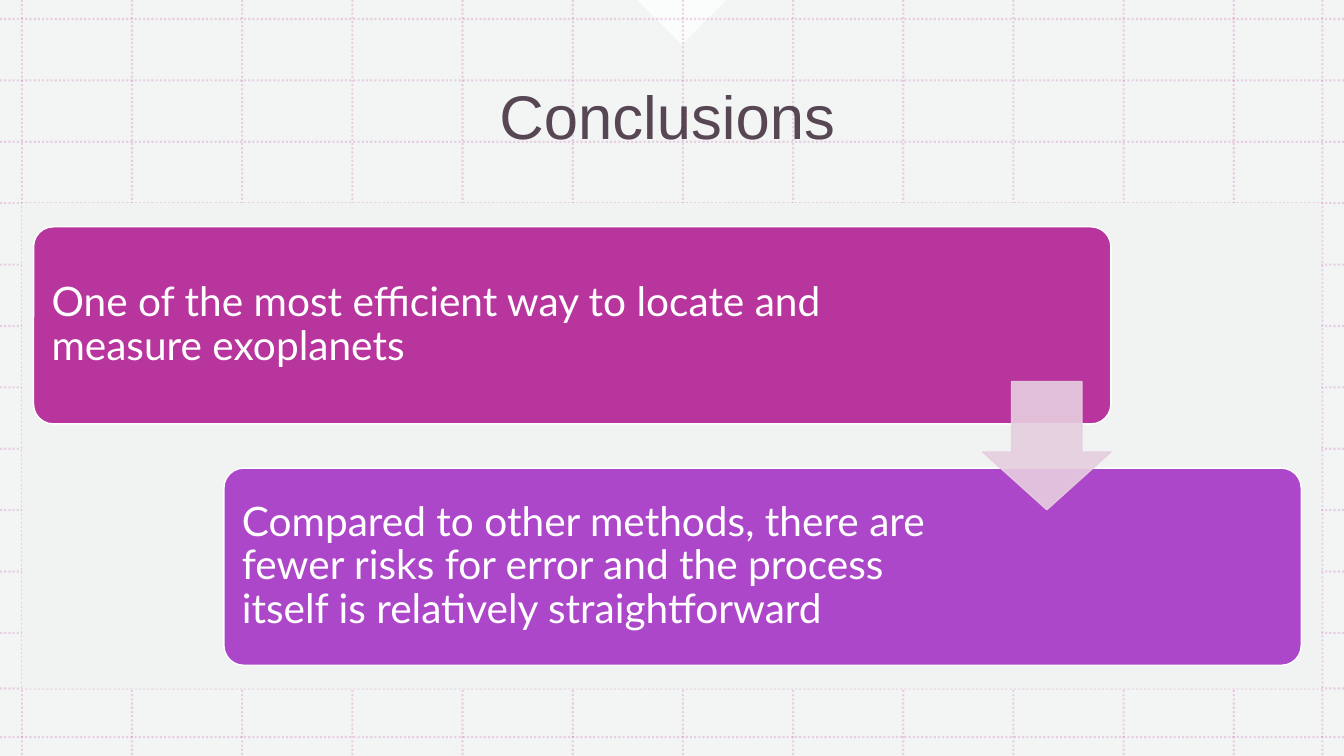
from dataclasses import dataclass

from lxml.etree import SubElement
from pptx import Presentation
from pptx.dml.color import RGBColor
from pptx.dml.fill import FillFormat
from pptx.enum.dml import MSO_LINE
from pptx.enum.shapes import MSO_CONNECTOR, MSO_SHAPE
from pptx.enum.text import MSO_ANCHOR, PP_ALIGN
from pptx.oxml.ns import qn
from pptx.shapes.autoshape import Shape
from pptx.slide import Slide
from pptx.text.text import TextFrame
from pptx.util import Pt

WIDTH, HEIGHT = 960, 540
WHITE = RGBColor(0xFF, 0xFF, 0xFF)
MIST = RGBColor(0xF0, 0xF3, 0xF2)
MAGENTA = RGBColor(0xB7, 0x35, 0x9D)
PURPLE = RGBColor(0xAD, 0x47, 0xC9)
PINK = RGBColor(0xE6, 0xCE, 0xDF)
PLUM = RGBColor(0x30, 0x1B, 0x2C)


@dataclass
class Box:
    left: float
    top: float
    width: float
    height: float

    def emu(self) -> tuple[int, int, int, int]:
        return Pt(self.left), Pt(self.top), Pt(self.width), Pt(self.height)


@dataclass
class Card:
    text: str
    color: RGBColor
    left: float
    top: float
    text_width: float


CARDS = [
    Card("One of the most efficient way to locate and measure exoplanets",
         MAGENTA, 24, 162, 624),
    Card("Compared to other methods, there are fewer risks for error and "
         "the process itself is relatively straightforward",
         PURPLE, 160, 334.4, 534),
]
CARD_WIDTH, CARD_HEIGHT, CARD_PAD = 769.5, 140.8, 4.1


def paint(fill: FillFormat, color: RGBColor, opacity: int = 100) -> None:
    """Set a solid fill with an opacity in percent."""
    fill.solid()
    fill.fore_color.rgb = color
    if opacity < 100:
        # python-pptx has no public opacity setting
        clr = fill._xPr.find(f"{qn('a:solidFill')}/{qn('a:srgbClr')}")
        SubElement(clr, qn("a:alpha"), val=str(opacity * 1000))


def add_block(s: Slide, kind: MSO_SHAPE, box: Box, color: RGBColor,
              opacity: int = 100, line: RGBColor | None = None) -> Shape:
    sp = s.shapes.add_shape(kind, *box.emu())
    sp.shadow.inherit = False
    paint(sp.fill, color, opacity)
    if line is None:
        sp.line.fill.background()
    else:
        sp.line.width = Pt(1)
        paint(sp.line.fill, line, opacity)
    return sp


def add_text(s: Slide, box: Box, text: str, font: str, size: float) -> TextFrame:
    tf = s.shapes.add_textbox(*box.emu()).text_frame
    tf.word_wrap = True
    tf.vertical_anchor = MSO_ANCHOR.MIDDLE
    p = tf.paragraphs[0]
    p.text = text
    p.line_spacing = 0.9
    p.font.name = font
    p.font.size = Pt(size)
    return tf


def add_grid_line(s: Slide, x1: float, y1: float, x2: float, y2: float) -> None:
    line = s.shapes.add_connector(
        MSO_CONNECTOR.STRAIGHT, Pt(x1), Pt(y1), Pt(x2), Pt(y2))
    line.line.width = Pt(1.5)
    paint(line.line.fill, MAGENTA, 20)
    line.line.dash_style = MSO_LINE.ROUND_DOT
    SubElement(line._element.spPr, qn("a:effectLst"))


def add_card(s: Slide, card: Card) -> None:
    box = Box(card.left, card.top, CARD_WIDTH, CARD_HEIGHT)
    sp = add_block(s, MSO_SHAPE.ROUNDED_RECTANGLE, box, card.color, line=WHITE)
    sp.adjustments[0] = 0.1
    text_box = Box(card.left + CARD_PAD, card.top + CARD_PAD,
                   card.text_width, CARD_HEIGHT - 2 * CARD_PAD)
    tf = add_text(s, text_box, card.text, "Lato", 29)
    tf.margin_left = tf.margin_right = Pt(8.7)
    tf.margin_top = tf.margin_bottom = Pt(8.7)
    tf.paragraphs[0].font.color.rgb = WHITE


def main() -> None:
    prs = Presentation()
    prs.slide_width, prs.slide_height = Pt(WIDTH), Pt(HEIGHT)
    s = prs.slides.add_slide(prs.slide_layouts[6])

    # Backdrop and top notch
    paint(s.background.fill, WHITE)
    add_block(s, MSO_SHAPE.RECTANGLE, Box(0, 0, WIDTH, HEIGHT), MIST, 80)
    notch = add_block(s, MSO_SHAPE.RIGHT_TRIANGLE,
                      Box(464.6, -22.4, 44.8, 44.8), WHITE, 75)
    notch.rotation = 315

    # Dotted grid: even steps, then the closing lines
    for x in [15.6 + 78.7 * i for i in range(12)] + [944.6]:
        add_grid_line(s, x, 0, x, HEIGHT)
    for y in [13.6 + 43.85 * i for i in range(11)] + [491.8, 526.4]:
        add_grid_line(s, 0, y, WIDTH, y)

    # Panel and title
    add_block(s, MSO_SHAPE.RECTANGLE, Box(15.6, 144.9, 928.4, 347), MIST)
    tf = add_text(s, Box(23.8, 26.6, 905.8, 118), "Conclusions", "Arial", 44)
    p = tf.paragraphs[0]
    p.alignment = PP_ALIGN.CENTER
    paint(p.runs[0].font.fill, PLUM, 80)

    # Cards and the arrow between them
    for card in CARDS:
        add_card(s, card)
    arrow = add_block(s, MSO_SHAPE.DOWN_ARROW, Box(702, 272.6, 91.5, 91.5),
                      PINK, 90, line=PINK)
    arrow.adjustments[0], arrow.adjustments[1] = 0.55, 0.45

    prs.save("out.pptx")


if __name__ == "__main__":
    main()
